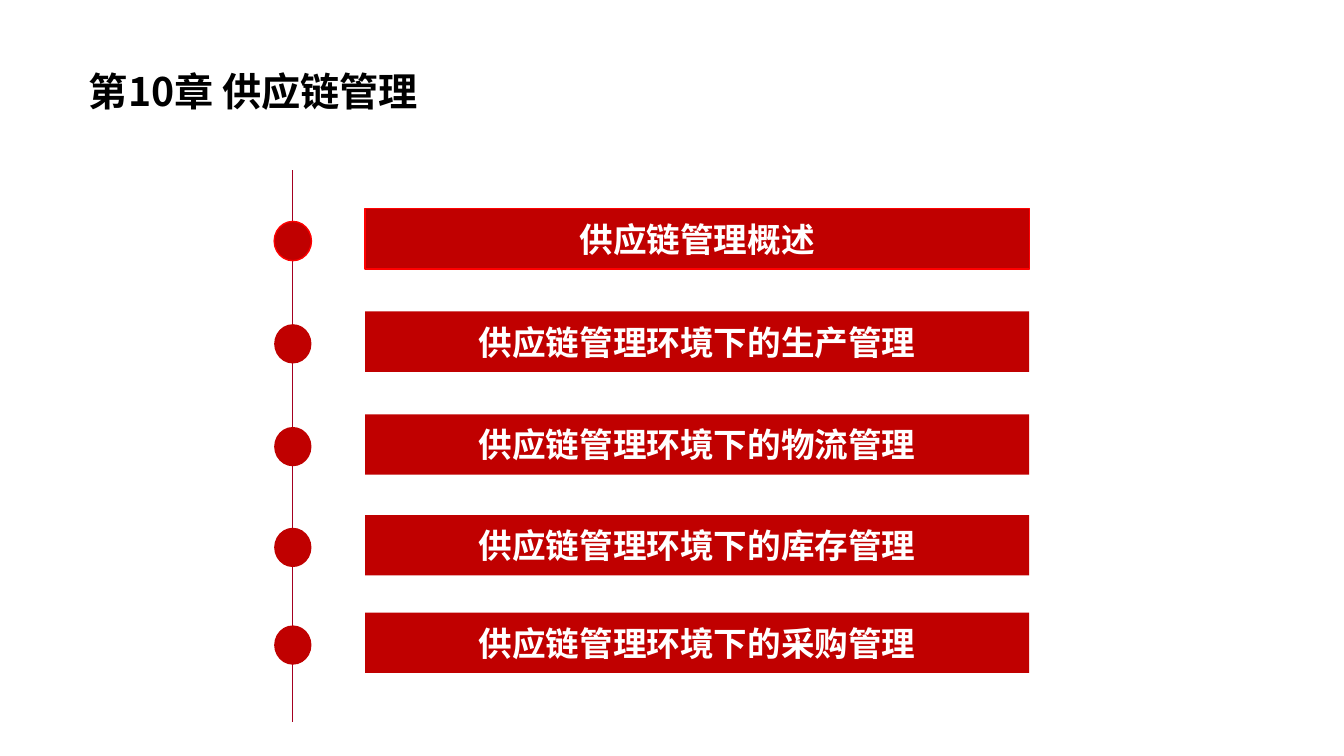
from lxml.etree import SubElement
from pptx import Presentation
from pptx.dml.color import RGBColor
from pptx.enum.shapes import MSO_CONNECTOR as Connector, MSO_SHAPE as Shape
from pptx.enum.text import MSO_ANCHOR as Anchor, MSO_AUTO_SIZE as AutoSize, PP_ALIGN as Align
from pptx.oxml.ns import qn
from pptx.util import Cm, Pt

FONT = "Noto Sans CJK SC"
BLACK = RGBColor(0x00, 0x00, 0x00)
WHITE = RGBColor(0xFF, 0xFF, 0xFF)
CRIMSON = RGBColor(0xC0, 0x00, 0x00)
BRIGHT_RED = RGBColor(0xFF, 0x00, 0x00)
AXIS_RED = RGBColor(0xA5, 0x00, 0x21)

TITLE = "第10章 供应链管理"
SECTIONS = [
    ("供应链管理概述", 5.26),
    ("供应链管理环境下的生产管理", 7.85),
    ("供应链管理环境下的物流管理", 10.44),
    ("供应链管理环境下的库存管理", 12.98),
    ("供应链管理环境下的采购管理", 15.44),
]


def write_text(shape, text, *, size, color, align):
    """Write one bold line, centred vertically, into a shape."""
    frame = shape.text_frame
    frame.word_wrap = True
    frame.auto_size = AutoSize.NONE
    frame.vertical_anchor = Anchor.MIDDLE
    paragraph = frame.paragraphs[0]
    paragraph.alignment = align
    paragraph.space_before = Pt(0)
    run = paragraph.add_run()
    run.text = text
    run.font.name = FONT
    run.font.size = Pt(size)
    run.font.bold = True
    run.font.color.rgb = color
    SubElement(run.font._element, qn("a:ea"), typeface=FONT)


def add_title(slide, left, top, width, height):
    """Place and format the title placeholder."""
    title = slide.shapes.title
    title.left, title.top = Cm(left), Cm(top)
    title.width, title.height = Cm(width), Cm(height)
    write_text(title, TITLE, size=28, color=BLACK, align=Align.JUSTIFY)
    title.text_frame.margin_left = Cm(0.36)


def add_block(group, kind, left, top, width, height, outline):
    """Add a crimson shape with an optional outline colour."""
    shape = group.shapes.add_shape(kind, Cm(left), Cm(top), Cm(width), Cm(height))
    shape.shadow.inherit = False
    shape.fill.solid()
    shape.fill.fore_color.rgb = CRIMSON
    if outline is None:
        shape.line.fill.background()
    else:
        shape.line.color.rgb = outline
        shape.line.width = Pt(1)
    return shape


def add_section(slide, text, left, top, width, height, outline=None):
    """Add a timeline dot and its labelled bar as one group."""
    dot_width, dot_height, bar_offset = 0.94, 0.99, 2.29
    group = slide.shapes.add_group_shape()
    add_block(group, Shape.OVAL, left, top + 0.32, dot_width, dot_height, outline)
    bar = add_block(group, Shape.RECTANGLE, left + bar_offset, top,
                    width - bar_offset, height, outline)
    write_text(bar, text, size=24, color=WHITE, align=Align.CENTER)


def add_timeline(slide, left, top, width, height):
    """Add the vertical axis and one row per section."""
    axis_x = Cm(left + 0.46)
    axis = slide.shapes.add_connector(Connector.STRAIGHT, axis_x, Cm(top),
                                      axis_x, Cm(top + height))
    axis.line.color.rgb = AXIS_RED
    axis.line.width = Pt(0.5)
    SubElement(axis._element.spPr, qn("a:effectLst"))
    for index, (text, row_top) in enumerate(SECTIONS):
        outline = BRIGHT_RED if index == 0 else None
        add_section(slide, text, left, row_top, width, 1.52, outline)


def main():
    """Build and save the chapter slide."""
    presentation = Presentation()
    presentation.slide_width, presentation.slide_height = Cm(33.87), Cm(19.05)
    slide = presentation.slides.add_slide(presentation.slide_layouts[5])
    add_title(slide, 1.88, 1.22, 20.07, 2.16)
    add_timeline(slide, 6.91, 4.29, 19.03, 13.9)
    presentation.save("out.pptx")


if __name__ == "__main__":
    main()
